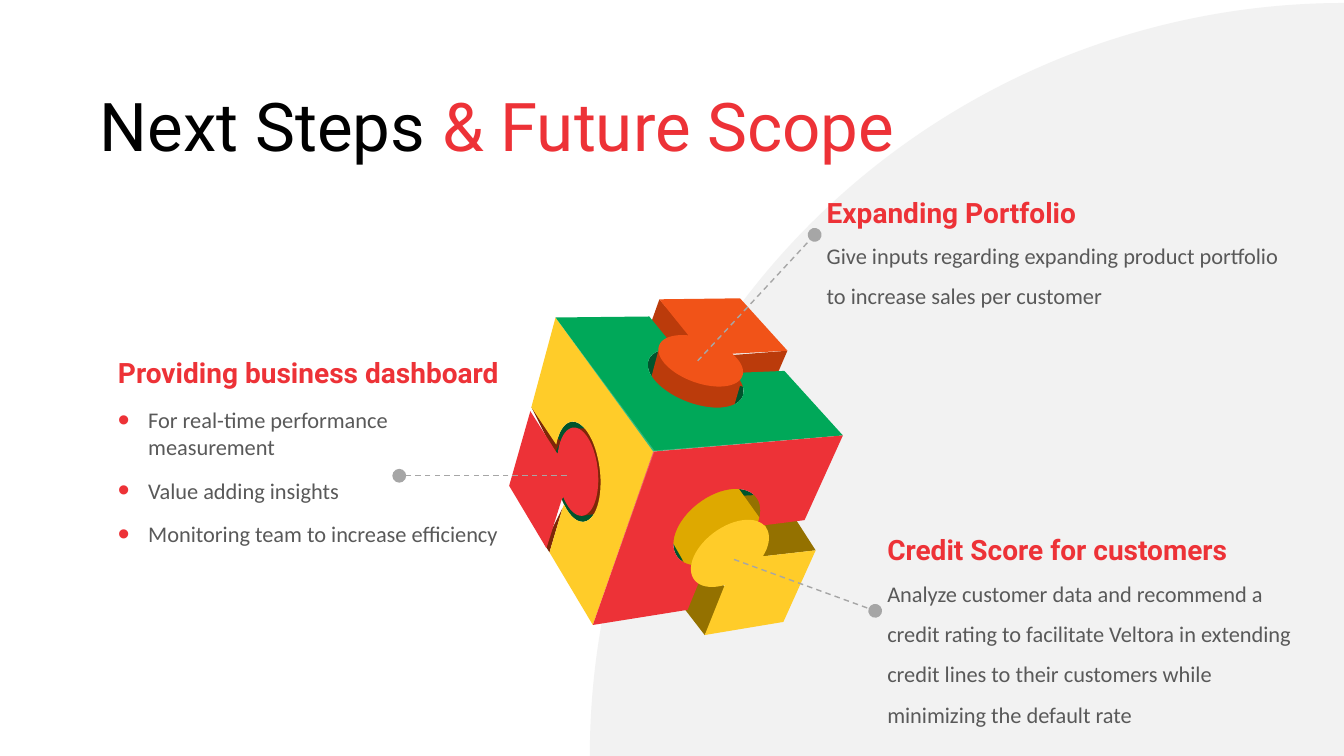
from dataclasses import dataclass
from math import atan2, cos, pi, radians, sin, tau
from typing import Optional

from lxml.etree import SubElement
from pptx import Presentation
from pptx.dml.color import RGBColor
from pptx.enum.dml import MSO_LINE
from pptx.enum.shapes import MSO_CONNECTOR, MSO_SHAPE
from pptx.enum.text import MSO_ANCHOR, MSO_AUTO_SIZE, PP_ALIGN
from pptx.oxml.ns import qn
from pptx.util import Emu, Pt

EMU_PER_PX = 9144  # 100 px to the inch
ARC_STEPS = 48
Point = tuple[float, float]


@dataclass(frozen=True)
class Theme:
    red: str = "ED3237"
    yellow: str = "FFCC29"
    green: str = "00A859"
    orange: str = "F15318"
    dark_red: str = "7D2708"
    dark_green: str = "00542D"
    dark_orange: str = "BB3B0B"
    ochre: str = "DEA900"
    dark_yellow: str = "947100"
    black: str = "000000"
    white: str = "FFFFFF"
    body: str = "595959"
    leader: str = "A6A6A6"
    backdrop: str = "F2F2F2"
    heading_font: str = "Roboto"
    body_font: str = "Calibri"
    title_size: int = 48
    heading_size: int = 20
    body_size: int = 16


THEME = Theme()


@dataclass(frozen=True)
class Knob:
    """A tilted ellipse, as the round of a puzzle piece or of its hole."""
    center: Point
    radii: Point
    tilt: int

    def point(self, angle: float) -> Point:
        x, y = self.radii[0] * cos(angle), self.radii[1] * sin(angle)
        turn = radians(self.tilt)
        return (self.center[0] + x * cos(turn) - y * sin(turn),
                self.center[1] + x * sin(turn) + y * cos(turn))

    def angle(self, point: Point) -> float:
        x, y = point[0] - self.center[0], point[1] - self.center[1]
        turn = radians(self.tilt)
        return atan2((y * cos(turn) - x * sin(turn)) / self.radii[1],
                     (x * cos(turn) + y * sin(turn)) / self.radii[0])

    def arc(self, start: float, sweep: float) -> list[Point]:
        return [self.point(start + sweep * step / ARC_STEPS) for step in range(ARC_STEPS + 1)]

    def long_arc(self, start: Point, end: Point) -> list[Point]:
        first = self.angle(start)
        sweep = (self.angle(end) - first) % tau
        return self.arc(first, sweep if sweep > pi else sweep - tau)


@dataclass(frozen=True)
class Face:
    """A closed outline whose knob, if any, leads from the last corner to the first."""
    fill: str
    corners: tuple[Point, ...]
    knob: Optional[Knob] = None
    opacity: int = 100

    def outline(self) -> list[Point]:
        round_part = self.knob.long_arc(self.corners[-1], self.corners[0]) if self.knob else []
        return [*self.corners, *round_part]


@dataclass(frozen=True)
class Leader:
    start: Point
    dot: Point


@dataclass(frozen=True)
class TextBlock:
    box: tuple[int, int, int, int]
    heading: str
    lines: tuple[str, ...]
    bulleted: bool = False
    line_spacing: float = 1.5
    space_after: int = 0


HUB, LEFT, RIGHT, BOTTOM = (648, 448), (551, 315), (836, 432), (588, 620)

SIDES = (
    Face(THEME.dark_red, ((527, 404), (556, 438), (550, 450))),
    Face(THEME.dark_red, ((558, 504), (545, 548), (540, 540))),
    Face(THEME.dark_red, ((576, 512), (618, 506), (603, 425), (568, 425))),
    Face(THEME.dark_orange, ((654, 297), (639, 339), (678, 358), (699, 349))),
    Face(THEME.dark_orange, ((781, 348), (762, 392), (717, 377), (705, 354))),
    Face(THEME.dark_orange, ((737, 372), (726, 410), (650, 394), (645, 378), (654, 344))),
    Face(THEME.dark_yellow, ((699, 630), (658, 577), (678, 555), (724, 585))),
    Face(THEME.dark_yellow, ((809, 546), (773, 490), (711, 493), (756, 552))),
    Face(THEME.ochre, ((760, 523), (730, 481), (691, 491), (662, 529), (687, 573))),
)
WALLS = (
    Face(THEME.yellow, ((558, 504), (545, 548), BOTTOM, HUB, LEFT, (527, 404), (551, 440)),
         Knob((573, 468), (22, 50), -7)),
    Face(THEME.green, ((670, 346), (644, 314), LEFT, HUB, RIGHT, (778, 368), (729, 370)),
         Knob((690, 375), (50, 25), 21)),
    Face(THEME.red, ((700, 561), (682, 605), BOTTOM, HUB, RIGHT, (798, 516), (751, 522)),
         Knob((711, 523), (49, 30), -37)),
)
SEAM = Face(THEME.white, (LEFT, (649, 447), RIGHT, (649, 448), BOTTOM, HUB), opacity=20)
PIECES = (
    Face(THEME.orange, ((726, 351), (781, 348), (734, 296), (654, 297), (683, 333)),
         Knob((695, 358), (44, 22), 20)),
    Face(THEME.yellow, ((719, 580), (699, 630), (777, 617), (809, 546), (756, 552)),
         Knob((724, 549), (44, 26), -36)),
    Face(THEME.red, ((557, 496), (542, 544), (505, 482), (526, 408), (552, 449)),
         Knob((573, 468), (20, 44), -6)),
)
HOLES = tuple(Face(THEME.dark_green, tuple(wall.knob.arc(0, tau))) for wall in WALLS)

LEADERS = (
    Leader((692, 358), (808, 233)),
    Leader((728, 555), (868, 606)),
    Leader((562, 472), (396, 472)),
)

DASHBOARD = TextBlock(
    (117, 353, 384, 192), "Providing business dashboard",
    ("For real-time performance measurement", "Value adding insights",
     "Monitoring team to increase efficiency"),
    bulleted=True, line_spacing=1.0, space_after=12)
PORTFOLIO = TextBlock(
    (820, 177, 470, 130), "Expanding Portfolio",
    ("Give inputs regarding expanding product portfolio to increase sales per customer",))
CREDIT_SCORE = TextBlock(
    (880, 512, 409, 208), "Credit Score for customers",
    ("Analyze customer data and recommend a credit rating to facilitate Veltora in extending "
     "credit lines to their customers while minimizing the default rate",))


def px(length: float) -> Emu:
    return Emu(round(length * EMU_PER_PX))


def rgb(color: str) -> RGBColor:
    return RGBColor.from_string(color)


def place(shape, box: tuple[int, int, int, int]) -> None:
    shape.left, shape.top, shape.width, shape.height = map(px, box)


def paint(shape, color: str) -> None:
    shape.shadow.inherit = False
    shape.fill.solid()
    shape.fill.fore_color.rgb = rgb(color)
    shape.line.fill.background()


def draw_face(group, face: Face) -> None:
    start, *others = [(px(x), px(y)) for x, y in face.outline()]
    builder = group.shapes.build_freeform(*start)
    builder.add_line_segments(others, close=True)
    shape = builder.convert_to_shape()
    paint(shape, face.fill)
    if face.opacity < 100:
        color = shape._element.spPr.find(qn("a:solidFill"))[0]
        SubElement(color, qn("a:alpha"), val=str(face.opacity * 1000))


def draw_leader(slide, leader: Leader) -> None:
    connector = slide.shapes.add_connector(
        MSO_CONNECTOR.STRAIGHT, *map(px, leader.start + leader.dot))
    connector.line.color.rgb = rgb(THEME.leader)
    connector.line.width = Pt(1)
    connector.line.dash_style = MSO_LINE.DASH
    line = connector._element.spPr.find(qn("a:ln"))
    SubElement(line, qn("a:tailEnd"), type="oval", w="lg", len="lg")
    SubElement(connector._element.spPr, qn("a:effectLst"))


def set_bullet(paragraph, bulleted: bool) -> None:
    properties = paragraph._p.get_or_add_pPr()
    indent = px(30) if bulleted else 0
    properties.set("marL", str(indent))
    properties.set("indent", str(-indent))
    if bulleted:
        SubElement(SubElement(properties, qn("a:buClr")), qn("a:srgbClr"), val=THEME.red)
        SubElement(properties, qn("a:buSzPct"), val="150000")
        SubElement(properties, qn("a:buFont"), typeface="Arial")
        SubElement(properties, qn("a:buChar"), char="•")
    else:
        SubElement(properties, qn("a:buNone"))


def set_font(font, name: str, size: int, color: str, bold: bool = False) -> None:
    font.name, font.size, font.bold = name, Pt(size), bold
    font.color.rgb = rgb(color)


def write_block(shape, block: TextBlock) -> None:
    place(shape, block.box)
    frame = shape.text_frame
    frame.word_wrap = True
    frame.auto_size = MSO_AUTO_SIZE.NONE
    frame.vertical_anchor = MSO_ANCHOR.TOP
    frame.margin_left = frame.margin_top = frame.margin_right = frame.margin_bottom = 0
    frame.text = "\n".join((block.heading, *block.lines))
    for index, paragraph in enumerate(frame.paragraphs):
        paragraph.line_spacing = block.line_spacing
        paragraph.space_before = Pt(0)
        paragraph.space_after = Pt(block.space_after)
        set_bullet(paragraph, block.bulleted and index > 0)
        if index == 0:
            set_font(paragraph.font, THEME.heading_font, THEME.heading_size, THEME.red, bold=True)
        else:
            set_font(paragraph.font, THEME.body_font, THEME.body_size, THEME.body)


def write_title(title) -> None:
    place(title, (89, 78, 857, 91))
    title.text_frame.auto_size = MSO_AUTO_SIZE.NONE
    paragraph = title.text_frame.paragraphs[0]
    paragraph.alignment = PP_ALIGN.LEFT
    paragraph.font.name = THEME.heading_font
    paragraph.font.size = Pt(THEME.title_size)
    for text, color in (("Next Steps ", THEME.black), ("& Future Scope", THEME.red)):
        run = paragraph.add_run()
        run.text = text
        run.font.color.rgb = rgb(color)


def main() -> None:
    presentation = Presentation()
    presentation.slide_width, presentation.slide_height = px(1333), px(750)
    slide = presentation.slides.add_slide(presentation.slide_layouts[1])
    backdrop = slide.shapes.add_shape(MSO_SHAPE.PIE_WEDGE, *map(px, (585, 3, 748, 747)))
    paint(backdrop, THEME.backdrop)
    slide.shapes._spTree.insert(2, backdrop._element)  # behind the placeholders
    write_title(slide.shapes.title)
    cube = slide.shapes.add_group_shape()
    for face in (*HOLES, *SIDES, *WALLS, SEAM, *PIECES):
        draw_face(cube, face)
    for leader in LEADERS:
        draw_leader(slide, leader)
    write_block(slide.placeholders[1], DASHBOARD)
    for block in (PORTFOLIO, CREDIT_SCORE):
        write_block(slide.shapes.add_textbox(*map(px, block.box)), block)
    presentation.save("out.pptx")


if __name__ == "__main__":
    main()
